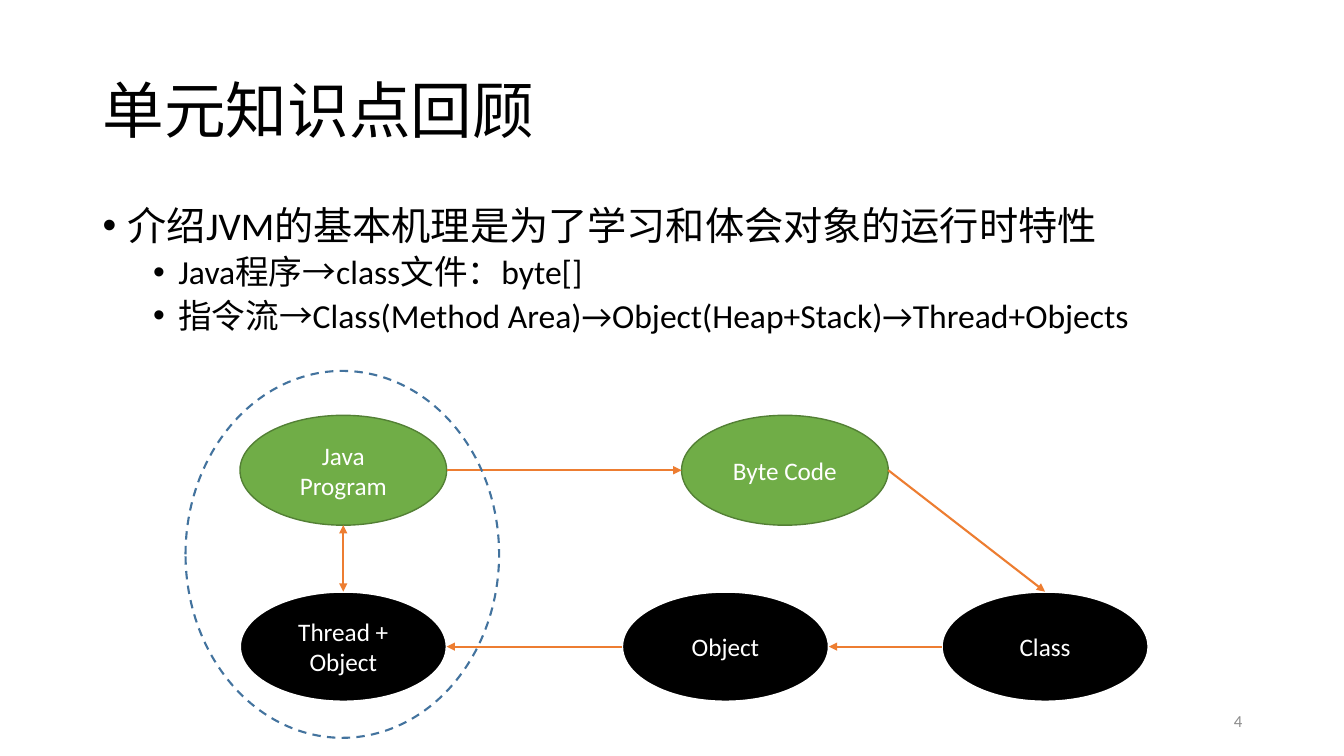
from lxml import etree
from pptx import Presentation
from pptx.dml.color import RGBColor
from pptx.enum.dml import MSO_LINE
from pptx.enum.shapes import MSO_CONNECTOR, MSO_SHAPE
from pptx.enum.text import MSO_ANCHOR, PP_ALIGN
from pptx.oxml.ns import qn
from pptx.util import Inches, Pt

OVAL, STRAIGHT, DASH = MSO_SHAPE.OVAL, MSO_CONNECTOR.STRAIGHT, MSO_LINE.DASH
TOP, MIDDLE = MSO_ANCHOR.TOP, MSO_ANCHOR.MIDDLE
LEFT, CENTER, RIGHT = PP_ALIGN.LEFT, PP_ALIGN.CENTER, PP_ALIGN.RIGHT


def color(hex_value):
    return RGBColor.from_string(hex_value)


def add_text(sp, lines, sizes, fill="000000", align=LEFT, anchor=MIDDLE,
             spacing=1.0, bullets=False):
    tf = sp.text_frame
    tf.word_wrap = True
    tf.vertical_anchor = anchor
    for i, (line, size) in enumerate(zip(lines, sizes)):
        p = tf.paragraphs[0] if i == 0 else tf.add_paragraph()
        p.alignment = align
        p.line_spacing = spacing
        if bullets:
            p.level = min(i, 1)
            p.space_before = Pt(5 if i else 0)
            pPr = p._p.get_or_add_pPr()
            pPr.set("marL", str(Inches(0.25 + 0.5 * p.level)))
            pPr.set("indent", str(Inches(-0.25)))
            etree.SubElement(pPr, qn("a:buFont")).set("typeface", "Arial")
            etree.SubElement(pPr, qn("a:buChar")).set("char", "•")
        r = p.add_run()
        r.text = line
        r.font.name = "Calibri"
        r.font.size = Pt(size)
        r.font.color.rgb = color(fill)


prs = Presentation()
prs.slide_width, prs.slide_height = Inches(13.33), Inches(7.5)
s = prs.slides.add_slide(prs.slide_layouts[6])

# Title, bullets and page number
title = s.shapes.add_textbox(Inches(0.92), Inches(0.4), Inches(11.5), Inches(1.45))
add_text(title, ["单元知识点回顾"], [44], spacing=0.9)

body = s.shapes.add_textbox(Inches(0.92), Inches(2), Inches(11.5), Inches(4.76))
add_text(body, ["介绍JVM的基本机理是为了学习和体会对象的运行时特性",
                "Java程序→class文件：byte[]",
                "指令流→Class(Method Area)→Object(Heap+Stack)→Thread+Objects"],
         [28, 24, 24], anchor=TOP, spacing=0.9, bullets=True)

number = s.shapes.add_textbox(Inches(9.42), Inches(6.95), Inches(3), Inches(0.4))
add_text(number, ["4"], [12], fill="8C8C8C", align=RIGHT)

# Stages: source forms in the upper row, runtime forms in the lower row
W, H = 2.05, 1.09
UPPER, LOWER = 4.12, 5.87
PROGRAM_X, CODE_X, OBJECT_X, CLASS_X = 2.38, 6.76, 6.17, 9.34
GREEN, BLACK = ("70AD47", "538035", 1), ("000000", "FFFFFF", 1.5)
stages = [
    (PROGRAM_X, UPPER, ["Java Program"], GREEN),
    (CODE_X, UPPER, ["Byte Code"], GREEN),
    (CLASS_X, LOWER, ["Class"], BLACK),
    (OBJECT_X, LOWER, ["Object"], BLACK),
    (PROGRAM_X, LOWER, ["Thread +", "Object"], BLACK),
]
for x, y, lines, (fill, outline, width) in stages:
    sp = s.shapes.add_shape(OVAL, Inches(x), Inches(y), Inches(W), Inches(H))
    sp.shadow.inherit = False
    sp.fill.solid()
    sp.fill.fore_color.rgb = color(fill)
    sp.line.color.rgb = color(outline)
    sp.line.width = Pt(width)
    add_text(sp, lines, [18] * len(lines), fill="FFFFFF", align=CENTER)

# Arrows between the stages
upper_mid, lower_mid = UPPER + H / 2, LOWER + H / 2
program_mid, class_mid = PROGRAM_X + W / 2, CLASS_X + W / 2
ONE_WAY, TWO_WAY = ["a:tailEnd"], ["a:headEnd", "a:tailEnd"]
arrows = [
    (PROGRAM_X + W, upper_mid, CODE_X, upper_mid, ONE_WAY),
    (CODE_X + W, upper_mid, class_mid, LOWER, ONE_WAY),
    (CLASS_X, lower_mid, OBJECT_X + W, lower_mid, ONE_WAY),
    (OBJECT_X, lower_mid, PROGRAM_X + W, lower_mid, ONE_WAY),
    (program_mid, LOWER, program_mid, UPPER + H, TWO_WAY),
]
for x1, y1, x2, y2, ends in arrows:
    arrow = s.shapes.add_connector(STRAIGHT, Inches(x1), Inches(y1), Inches(x2), Inches(y2))
    arrow.line.color.rgb = color("ED7D31")
    arrow.line.width = Pt(1.5)
    ln = arrow.line._get_or_add_ln()
    for end in ends:
        etree.SubElement(ln, qn(end)).set("type", "triangle")
    etree.SubElement(arrow._element.spPr, qn("a:effectLst"))

# Dashed ring around the program and its running objects
ring = s.shapes.add_shape(OVAL, Inches(1.84), Inches(3.68), Inches(3.11), Inches(3.64))
ring.shadow.inherit = False
ring.fill.background()
ring.line.color.rgb = color("43739E")
ring.line.width = Pt(1.5)
ring.line.dash_style = DASH

prs.save("out.pptx")
